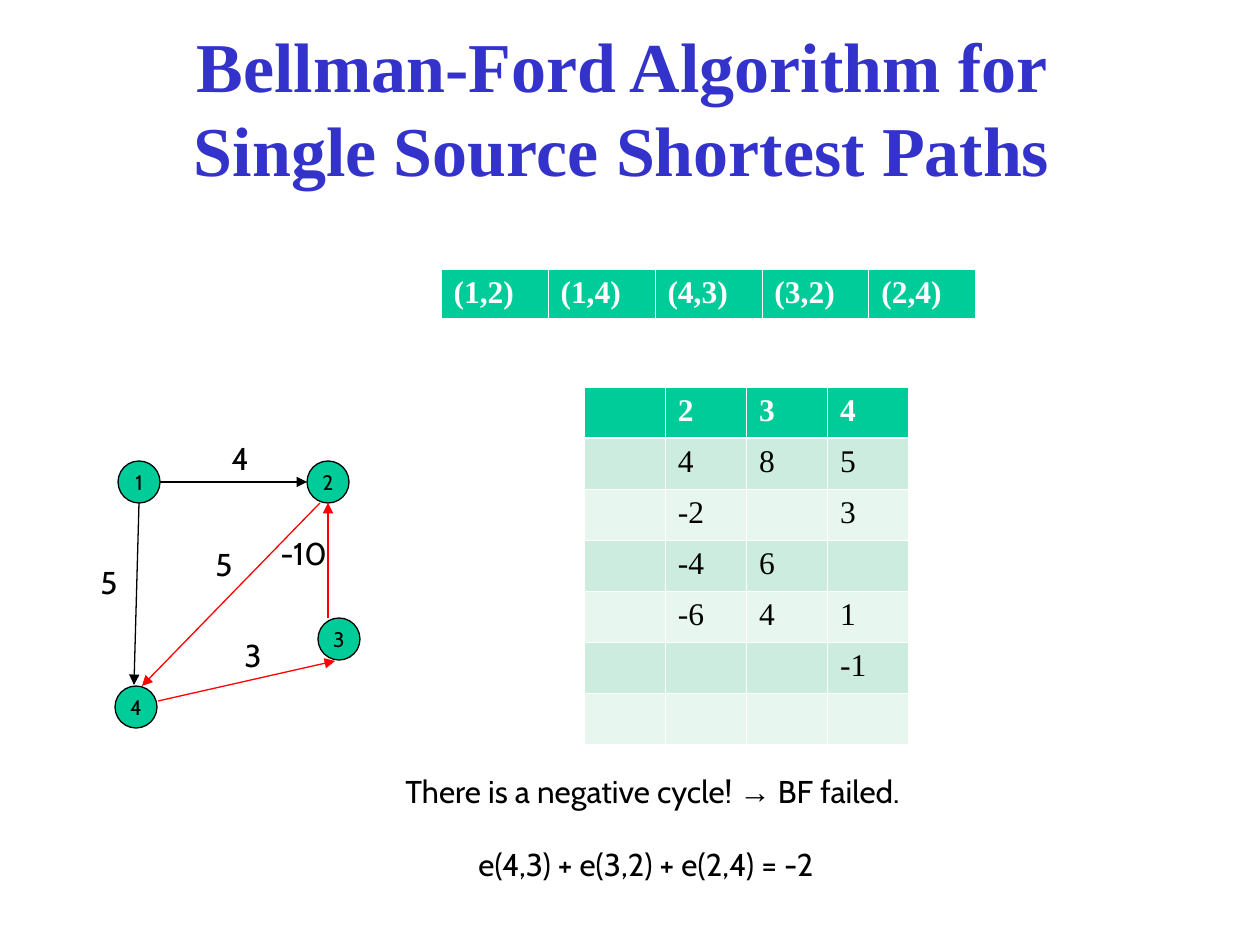
from dataclasses import dataclass

from lxml import etree
from pptx import Presentation
from pptx.dml.color import RGBColor
from pptx.enum.shapes import MSO_CONNECTOR, MSO_SHAPE
from pptx.enum.text import MSO_ANCHOR, MSO_AUTO_SIZE, PP_ALIGN
from pptx.oxml.ns import qn
from pptx.util import Emu, Pt

STRAIGHT = MSO_CONNECTOR.STRAIGHT
OVAL = MSO_SHAPE.OVAL
MIDDLE = MSO_ANCHOR.MIDDLE
FIXED_SIZE, GROW = MSO_AUTO_SIZE.NONE, MSO_AUTO_SIZE.SHAPE_TO_FIT_TEXT
LEFT, CENTER = PP_ALIGN.LEFT, PP_ALIGN.CENTER
PX_PER_INCH = 126
TITLE_ONLY = 5


@dataclass(frozen=True)
class Theme:
    title: str = "3333CC"
    accent: str = "00CC99"
    band_dark: str = "CBECDE"
    band_light: str = "E7F6EF"
    ink: str = "000000"
    paper: str = "FFFFFF"
    cycle: str = "FF0000"
    serif: str = "Times New Roman"
    sans: str = "Cabin"
    symbol: str = "Arial"
    title_size: int = 40
    body_size: int = 18
    node_size: int = 12
    line_width: float = 0.75
    border: float = 0.45
    header_border: float = 1.47


THEME = Theme()
NODE_SIZE = 42
NODES = {"1": (118, 461), "2": (307, 461), "4": (115, 686), "3": (318, 618)}
EDGES = [  # start, end, colour
    ((160, 482), (307, 482), THEME.ink),
    ((139, 503), (134, 685), THEME.ink),
    ((158, 701), (335, 661), THEME.cycle),
    ((328, 618), (328, 503), THEME.cycle),
    ((320, 503), (142, 686), THEME.cycle),
]
WEIGHTS = [("4", 219, 433), ("5", 88, 557), ("3", 232, 630),
           ("-10", 268, 528), ("5", 203, 539)]
EDGE_ORDER = [["(1,2)", "(1,4)", "(4,3)", "(3,2)", "(2,4)"]]
DISTANCES = [
    ["", "2", "3", "4"],
    ["", "4", "8", "5"],
    ["", "-2", "", "3"],
    ["", "-4", "6", ""],
    ["", "-6", "4", "1"],
    ["", "", "", "-1"],
    ["", "", "", ""],
]


def px(length):
    return Emu(round(length * 914400 / PX_PER_INCH))


def color(code):
    return RGBColor.from_string(code)


def write(frame, text, font=THEME.sans, size=THEME.body_size, ink=THEME.ink,
          bold=False, align=LEFT):
    """Fill a text frame; text is a string or a list of (string, font) pairs."""
    para = frame.paragraphs[0]
    para.alignment = align
    for words, face in [(text, font)] if isinstance(text, str) else text:
        span = para.add_run()
        span.text = words
        span.font.name = face
        span.font.size = Pt(size)
        span.font.bold = bold
        span.font.color.rgb = color(ink)


def add_title(slide, text):
    title = slide.shapes.title
    title.left, title.top, title.width, title.height = map(px, (86, 78, 1071, 57))
    frame = title.text_frame
    frame.auto_size = FIXED_SIZE
    frame.word_wrap = True
    frame.vertical_anchor = MIDDLE
    write(frame, text, font=THEME.serif, size=THEME.title_size,
          ink=THEME.title, bold=True, align=CENTER)


def add_label(slide, text, left, top, width=43):
    box = slide.shapes.add_textbox(px(left), px(top), px(width), px(50))
    box.text_frame.word_wrap = False
    box.text_frame.auto_size = GROW
    write(box.text_frame, text)


def add_node(slide, name, left, top):
    node = slide.shapes.add_shape(OVAL, px(left), px(top), px(NODE_SIZE), px(NODE_SIZE))
    node.shadow.inherit = False
    node.fill.solid()
    node.fill.fore_color.rgb = color(THEME.accent)
    node.line.color.rgb = color(THEME.ink)
    node.line.width = Pt(THEME.line_width)
    node.text_frame.word_wrap = False
    node.text_frame.vertical_anchor = MIDDLE
    write(node.text_frame, name, size=THEME.node_size, align=CENTER)


def add_arrow(slide, start, end, ink):
    arrow = slide.shapes.add_connector(STRAIGHT, *map(px, start + end))
    arrow.line.color.rgb = color(ink)
    arrow.line.width = Pt(THEME.line_width)
    etree.SubElement(arrow.line._get_or_add_ln(), qn("a:tailEnd"), type="triangle")
    etree.SubElement(arrow._element.spPr, qn("a:effectLst"))


def add_border(cell, side, width):
    line = etree.SubElement(cell._tc.get_or_add_tcPr(), qn(f"a:ln{side}"),
                            w=str(Pt(width)))
    fill = etree.SubElement(line, qn("a:solidFill"))
    etree.SubElement(fill, qn("a:srgbClr"), val=THEME.paper)


def format_cell(cell, text, row):
    """Style a cell by its row: a header first, then alternating bands."""
    header = row == 0
    thick_side = {0: "B", 1: "T"}.get(row)
    for side in "LRTB":
        add_border(cell, side, THEME.header_border if side == thick_side else THEME.border)
    band = THEME.band_dark if row % 2 else THEME.band_light
    cell.fill.solid()
    cell.fill.fore_color.rgb = color(THEME.accent if header else band)
    if text:
        write(cell.text_frame, text, font=THEME.serif, bold=header,
              ink=THEME.paper if header else THEME.ink)


def add_grid(slide, rows, left, top, width, height):
    frame = slide.shapes.add_table(len(rows), len(rows[0]), px(left), px(top),
                                   px(width), px(height))
    frame.table.horz_banding = False
    for row, texts in enumerate(rows):
        for column, text in enumerate(texts):
            format_cell(frame.table.cell(row, column), text, row)


def main():
    deck = Presentation()
    deck.slide_width, deck.slide_height = px(1260), px(945)
    slide = deck.slides.add_slide(deck.slide_layouts[TITLE_ONLY])
    add_title(slide, "Bellman-Ford Algorithm for Single Source Shortest Paths")
    for name, (left, top) in NODES.items():
        add_node(slide, name, left, top)
    for start, end, ink in EDGES:
        add_arrow(slide, start, end, ink)
    for text, left, top in WEIGHTS:
        add_label(slide, text, left, top, width=73 if len(text) > 1 else 43)
    add_grid(slide, EDGE_ORDER, 441, 269, 535, 50)
    add_grid(slide, DISTANCES, 584, 387, 325, 358)
    add_label(slide, [("There is a negative cycle! ", THEME.sans), ("→", THEME.symbol),
                      (" BF failed.", THEME.sans)], 393, 766, width=576)
    add_label(slide, "e(4,3) + e(3,2) + e(2,4) = -2", 466, 839, width=399)
    deck.save("out.pptx")


if __name__ == "__main__":
    main()
